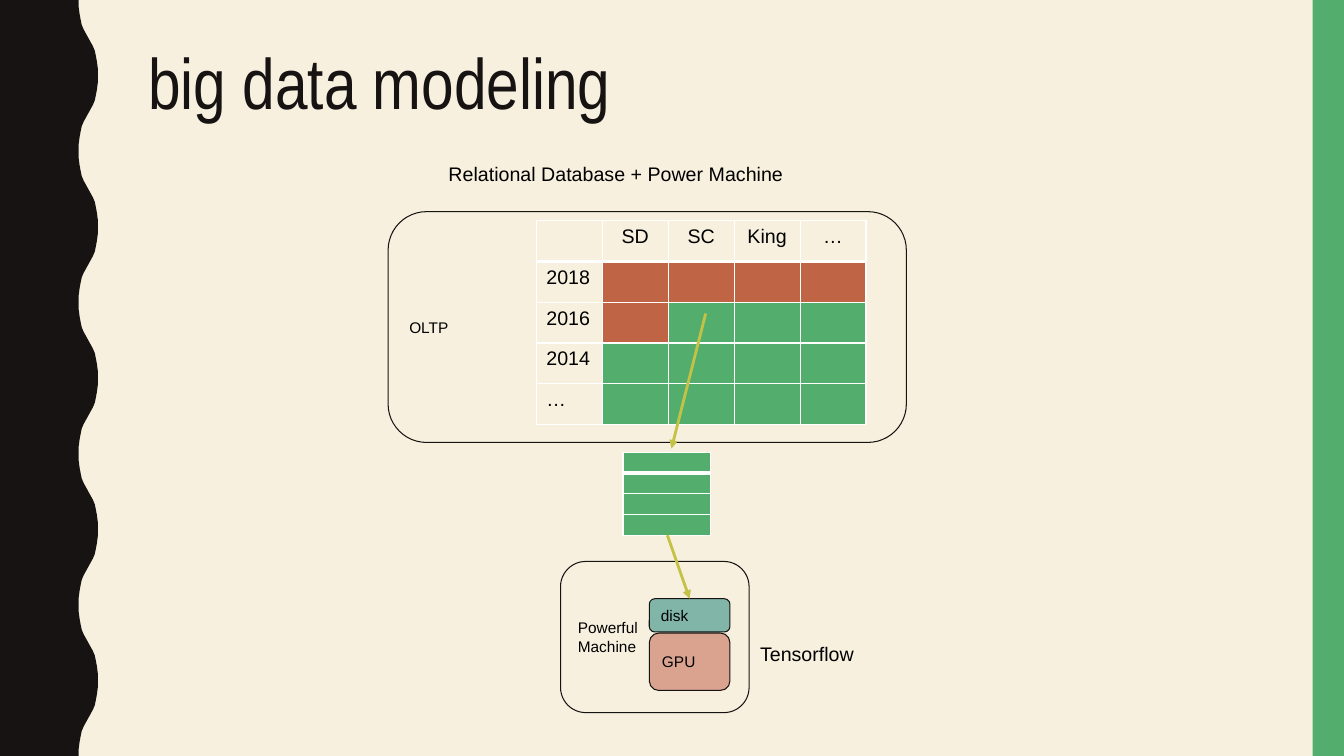
from dataclasses import dataclass

from lxml import etree
from pptx import Presentation
from pptx import util as u
from pptx.dml.color import RGBColor
from pptx.enum import shapes, text
from pptx.oxml import ns


@dataclass(frozen=True)
class Theme:
    paper: str = "F7F0DF"
    ink: str = "171312"
    black: str = "000000"
    white: str = "FFFFFF"
    green: str = "53AE6E"
    rust: str = "BF6546"
    rose: str = "D9A390"
    teal: str = "81B5A8"
    olive: str = "C4C245"
    heading: str = "Arial Narrow"
    body: str = "Arial"
    title_pt: float = 51
    text_pt: float = 14
    label_pt: float = 11
    empty_pt: float = 5
    outline_pt: float = 0.75
    arrow_pt: float = 2


T = Theme()


@dataclass(frozen=True)
class Box:
    x: float
    y: float
    w: float
    h: float

    def point(self, px, py):
        """Position given in percent of this box."""
        return round(self.x + self.w * px / 100), round(self.y + self.h * py / 100)

    def inner(self, px, py, pw, ph):
        return Box(*self.point(px, py), round(self.w * pw / 100), round(self.h * ph / 100))

    @property
    def rect(self):
        return self.x, self.y, self.w, self.h


def rgb(value):
    return RGBColor.from_string(value)


def add_run(p, words, size, color=T.black, font=T.body):
    r = p.add_run()
    r.text = words
    r.font.size, r.font.name = u.Pt(size), font
    r.font.color.rgb = rgb(color)


def paint(sp, fill):
    sp.shadow.inherit = False
    sp.fill.solid()
    sp.fill.fore_color.rgb = rgb(fill)
    sp.line.fill.background()


def add_node(s, box, fill, *lines):
    sp = s.shapes.add_shape(shapes.MSO_SHAPE.FLOWCHART_ALTERNATE_PROCESS, *box.rect)
    paint(sp, fill)
    sp.line.color.rgb = rgb(T.ink)
    sp.line.width = u.Pt(T.outline_pt)
    tf = sp.text_frame
    tf.vertical_anchor = text.MSO_ANCHOR.MIDDLE
    tf.margin_left = tf.margin_right = tf.margin_top = tf.margin_bottom = u.Inches(0.1)
    for i, line in enumerate(lines):
        p = tf.add_paragraph() if i else tf.paragraphs[0]
        p.alignment = text.PP_ALIGN.LEFT
        add_run(p, line, T.label_pt)
    return sp


def add_caption(s, box, words):
    tf = s.shapes.add_textbox(*box.rect).text_frame
    tf.word_wrap = True
    add_run(tf.paragraphs[0], words, T.text_pt)


def add_arrow(s, start, end, target=None):
    c = s.shapes.add_connector(shapes.MSO_CONNECTOR.STRAIGHT, *start, *end)
    if target is not None:
        c.end_connect(target, 0)
    c.line.color.rgb = rgb(T.olive)
    c.line.width = u.Pt(T.arrow_pt)
    spPr = c._element.spPr
    etree.SubElement(spPr.find(ns.qn("a:ln")), ns.qn("a:tailEnd"), type="triangle")
    etree.SubElement(spPr, ns.qn("a:effectLst"))


def set_borders(cell, bottom_pt):
    tcPr = cell._tc.get_or_add_tcPr()
    for i, (side, pt) in enumerate(zip("LRTB", (1, 1, 1, bottom_pt))):
        ln = etree.Element(ns.qn(f"a:ln{side}"), w=str(u.Pt(pt)))
        fill = etree.SubElement(ln, ns.qn("a:solidFill"))
        etree.SubElement(fill, ns.qn("a:srgbClr"), val=T.white)
        tcPr.insert(i, ln)


def add_grid(s, box, words, fills):
    """Even table; words and fills hold one entry per cell."""
    rows, cols = len(fills), len(fills[0])
    table = s.shapes.add_table(rows, cols, *box.rect).table
    table.first_row = table.horz_banding = False
    for col in table.columns:
        col.width = round(box.w / cols)
    for i, row in enumerate(table.rows):
        row.height = round(box.h / rows)
        for j, cell in enumerate(row.cells):
            if fills[i][j]:
                cell.fill.solid()
                cell.fill.fore_color.rgb = rgb(fills[i][j])
            else:
                cell.fill.background()
            set_borders(cell, 1 if i else 3)
            p = cell.text_frame.paragraphs[0]
            if words[i][j]:
                p.alignment = text.PP_ALIGN.LEFT if i else text.PP_ALIGN.CENTER
                add_run(p, words[i][j], T.text_pt)
            else:
                cell.margin_top = cell.margin_bottom = 0
                etree.SubElement(p._p, ns.qn("a:endParaRPr"), sz=str(int(T.empty_pt * 100)))


def add_wave(s, box):
    """Dark left border: five waves, each mirrored from a quarter wave."""
    quarter = [(0, 0), (0, 0.09), (0.05, 0.19), (0.11, 0.27), (0.16, 0.33), (0.26, 0.39), (0.37, 0.44)]
    half = quarter + [(0.5, 0.5)] + [(1 - d, 1 - t) for d, t in reversed(quarter)]
    trough, step = 80.4, 10
    edge = []
    for n in range(10):
        for depth, t in half:
            reach = 1 - depth if n % 2 else depth
            edge.append(box.point(trough + (100 - trough) * reach, step * (n + t)))
    fb = s.shapes.build_freeform(*box.point(0, 0), scale=1.0)
    fb.add_line_segments(edge + [box.point(0, 100)], close=True)
    paint(fb.convert_to_shape(), T.ink)


def add_title(s, box, words):
    title = s.shapes.title
    title.left, title.top, title.width, title.height = box.rect
    tf = title.text_frame
    tf.auto_size = text.MSO_AUTO_SIZE.NONE
    tf.vertical_anchor = text.MSO_ANCHOR.TOP
    p = tf.paragraphs[0]
    p.alignment, p.line_spacing = text.PP_ALIGN.LEFT, 0.9
    add_run(p, words, T.title_pt, T.ink, T.heading)


def add_database(s, box):
    add_node(s, box, T.paper, "OLTP")
    words = [["", "SD", "SC", "King", "…"]]
    words += [[year, "", "", "", ""] for year in ("2018", "2016", "2014", "…")]
    fills = [[None] * 5]
    fills += [[None] + [T.rust] * hot + [T.green] * (4 - hot) for hot in (4, 1, 0, 0)]
    add_grid(s, box.inner(28.6, 3.93, 63.62, 88.21), words, fills)


def add_machine(s, box):
    add_node(s, box, T.paper, "Powerful", "Machine")
    add_node(s, box.inner(47.06, 47.33, 42.78, 38), T.rose, "GPU")
    return add_node(s, box.inner(47.06, 24.67, 42.78, 22), T.teal, "disk")


def modeling_slide(prs):
    s = prs.slides.add_slide(prs.slide_layouts[5])
    s.background.fill.solid()
    s.background.fill.fore_color.rgb = rgb(T.paper)
    page = Box(0, 0, prs.slide_width, prs.slide_height)

    # Side borders and title
    add_wave(s, page.inner(0, 0, 7.28, 100))
    band = page.inner(97.67, 0, 2.33, 100)
    paint(s.shapes.add_shape(shapes.MSO_SHAPE.RECTANGLE, *band.rect), T.green)
    add_title(s, page.inner(10.28, 5.6, 83.5, 15.2), "big data modeling")

    # Database, extracted rows and machine
    add_caption(s, page.inner(32.63, 20.8, 33.23, 4.53), "Relational Database + Power Machine")
    add_database(s, page.inner(28.88, 28, 38.56, 30.53))
    add_grid(s, page.inner(46.36, 59.87, 6.53, 10.93), [[""]] * 4, [[T.green]] * 4)
    disk = add_machine(s, page.inner(41.71, 74.27, 14.03, 20))
    add_caption(s, page.inner(55.81, 84.27, 9.3, 4.53), "Tensorflow")

    # Data flow
    add_arrow(s, page.point(52.51, 41.47), page.point(49.96, 59.33))
    add_arrow(s, page.point(49.66, 70.8), page.point(51.31, 79.2), disk)


def main():
    prs = Presentation()
    prs.slide_width, prs.slide_height = u.Inches(13.33), u.Inches(7.5)
    modeling_slide(prs)
    prs.save("out.pptx")


if __name__ == "__main__":
    main()
